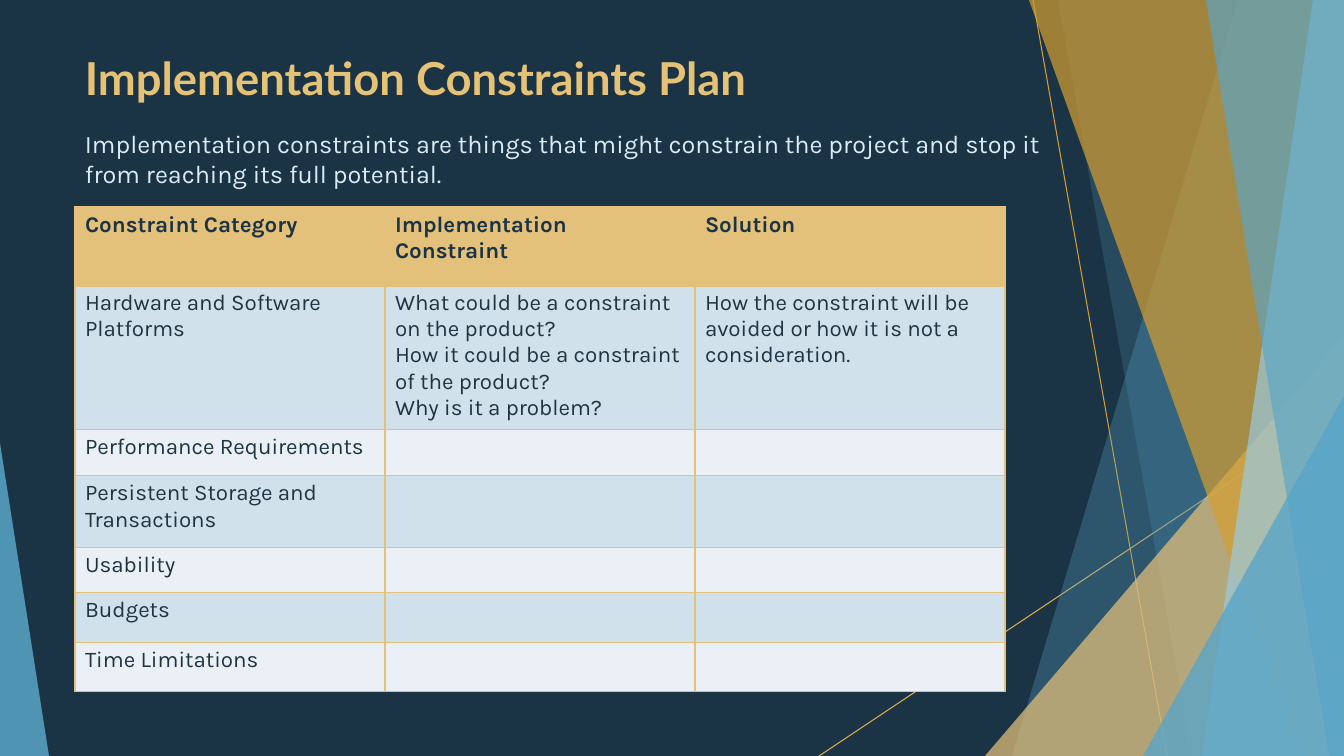
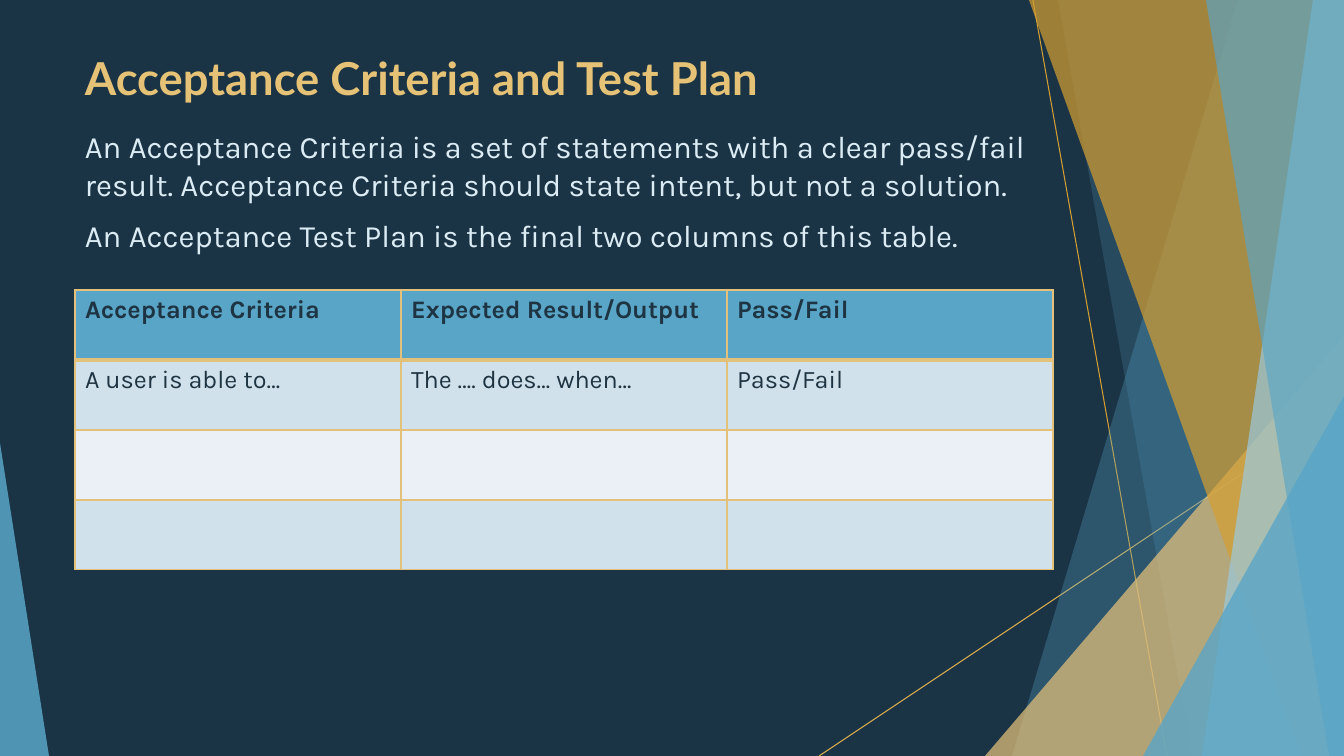
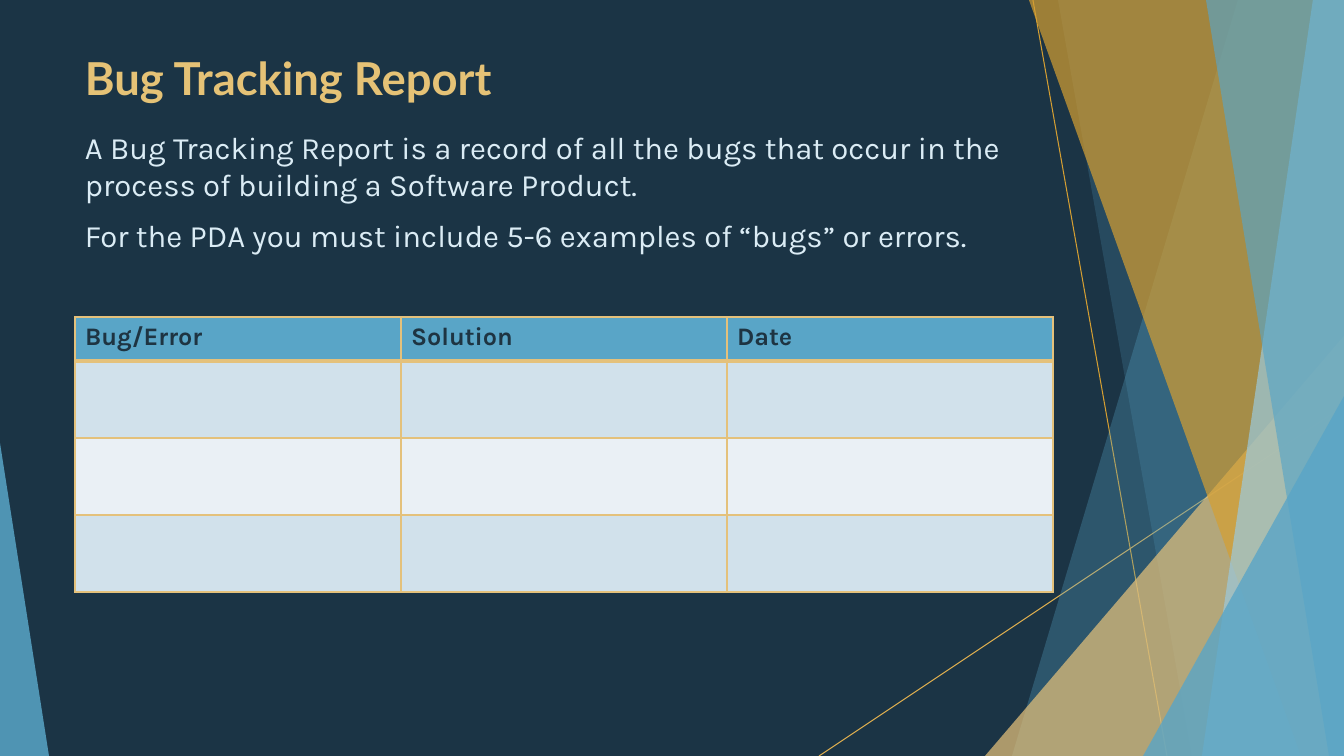
import lxml.etree
import pptx
import pptx.dml.color
import pptx.enum.shapes
import pptx.enum.text
import pptx.oxml.ns
import pptx.util

PX = 914400 / 100.8
PAGE_WIDTH, PAGE_HEIGHT = 1344, 756
LEFT = 75

COLOURS = {
    "navy": "1B3445", "ink": "1E3442", "title": "E5C276", "body": "DBECF5",
    "sand": "E4C17B", "gold": "D59F32", "pale gold": "DBAC4F",
    "blue": "59A5C7", "light blue": "9BC9DD",
    "dark band": "D1E1EB", "light band": "EAF0F5",
}

# from x, from y, to x, to y, colour
RAYS = [(1033, 0, 1167, 756, "gold"), (1344, 406, 819, 756, "pale gold")]

# A beam runs from its top x and bottom x to the right edge of the page.
# A triangle has left, top, width, height and the place of its apex.
# Each ends with its colour and opacity in percent.
BACKDROP = [
    ("beam", (1238, 1012), "blue", 30),
    ("beam", (1058, 1192), "blue", 20),
    ("triangle", (985, 336, 359, 420, 1), "sand", 72),
    ("beam", (1029, 1301), "gold", 70),
    ("beam", (1313, 1202), "light blue", 70),
    ("beam", (1206, 1329), "blue", 65),
    ("triangle", (1143, 396, 201, 360, 1), "blue", 80),
    ("triangle", (0, 443, 49, 313, 0), "blue", 85),
]

SLIDES = [
    {
        "title": "Implementation Constraints Plan",
        "body": ["Implementation constraints are things that might constrain the "
                 "project and stop it from reaching its full potential."],
        "body size": 18, "body height": 74,
        "table": {
            "top": 207, "column": 310, "heights": [78, 144, 46, 72, 45, 50, 49],
            "size": 16, "header fill": "sand", "header ink": "navy",
            "rows": [
                ["Constraint Category", "Implementation Constraint", "Solution"],
                ["Hardware and Software Platforms",
                 "What could be a constraint on the product?\n"
                 "How it could be a constraint of the product?\n"
                 "Why is it a problem?",
                 "How the constraint will be avoided or how it is not a consideration."],
                ["Performance Requirements", "", ""],
                ["Persistent Storage and Transactions", "", ""],
                ["Usability", "", ""],
                ["Budgets", "", ""],
                ["Time Limitations", "", ""],
            ],
        },
    },
    {
        "title": "Acceptance Criteria and Test Plan",
        "body": ["An Acceptance Criteria is a set of statements with a clear pass/fail "
                 "result. Acceptance Criteria should state intent, but not a solution.",
                 "An Acceptance Test Plan is the final two columns of this table."],
        "body size": 22.2, "body height": 167,
        "table": {
            "top": 290, "column": 326, "heights": [70, 70, 70, 70],
            "size": 18, "header fill": "blue", "header ink": "ink",
            "rows": [
                ["Acceptance Criteria", "Expected Result/Output", "Pass/Fail"],
                ["A user is able to…", "The …. does… when…", "Pass/Fail"],
                ["", "", ""],
                ["", "", ""],
            ],
        },
    },
    {
        "title": "Bug Tracking Report",
        "body": ["A Bug Tracking Report is a record of all the bugs that occur in the "
                 "process of building a Software Product.",
                 "For the PDA you must include 5-6 examples of “bugs” or errors."],
        "body size": 22.2, "body height": 159,
        "table": {
            "top": 317, "column": 326, "heights": [44, 77, 77, 77],
            "size": 18, "header fill": "blue", "header ink": "ink",
            "rows": [
                ["Bug/Error", "Solution", "Date"],
                ["", "", ""],
                ["", "", ""],
                ["", "", ""],
            ],
        },
    },
]


def px(length):
    return pptx.util.Emu(round(length * PX))


def rgb(name):
    return pptx.dml.color.RGBColor.from_string(COLOURS[name])


def add_element(parent, tag, **attributes):
    return lxml.etree.SubElement(parent, pptx.oxml.ns.qn(tag), attributes)


def paint(fill, colour):
    fill.solid()
    fill.fore_color.rgb = rgb(colour)


def write(frame, lines, font, size, colour, bold=False, space_before=0):
    for index, line in enumerate(lines):
        para = frame.paragraphs[0] if index == 0 else frame.add_paragraph()
        para.space_before = pptx.util.Pt(space_before)
        span = para.add_run()
        span.text = line
        span.font.name = font
        span.font.size = pptx.util.Pt(size)
        span.font.bold = bold
        span.font.color.rgb = rgb(colour)


def add_text(page, top, width, height, lines, anchor, **style):
    box = page.shapes.add_textbox(px(LEFT), px(top), px(width), px(height))
    box.text_frame.word_wrap = True
    box.text_frame.vertical_anchor = anchor
    write(box.text_frame, lines, **style)


def add_beam(page, top_x, bottom_x):
    builder = page.shapes.build_freeform(top_x, 0, scale=PX)
    builder.add_line_segments(
        [(PAGE_WIDTH, 0), (PAGE_WIDTH, PAGE_HEIGHT), (bottom_x, PAGE_HEIGHT)])
    return builder.convert_to_shape()


def add_triangle(page, left, top, width, height, apex):
    triangle = page.shapes.add_shape(
        pptx.enum.shapes.MSO_SHAPE.ISOSCELES_TRIANGLE,
        px(left), px(top), px(width), px(height))
    triangle.adjustments[0] = apex
    return triangle


def add_backdrop(page):
    paint(page.background.fill, "navy")
    for *ends, colour in RAYS:
        ray = page.shapes.add_connector(
            pptx.enum.shapes.MSO_CONNECTOR.STRAIGHT, *map(px, ends))
        ray.line.color.rgb = rgb(colour)
        ray.line.width = pptx.util.Pt(0.75)
        add_element(ray._element.spPr, "a:effectLst")
    makers = {"beam": add_beam, "triangle": add_triangle}
    for kind, geometry, colour, opacity in BACKDROP:
        shape = makers[kind](page, *geometry)
        shape.shadow.inherit = False
        shape.line.fill.background()
        paint(shape.fill, colour)
        tint = shape._element.spPr.find(".//" + pptx.oxml.ns.qn("a:srgbClr"))
        add_element(tint, "a:alpha", val=str(opacity * 1000))


def add_borders(cell, widths):
    """Draw the left, right, top and bottom borders, with widths in points."""
    properties = cell._tc.get_or_add_tcPr()
    for side, width in zip("LRTB", widths):
        border = add_element(properties, "a:ln" + side, w=str(pptx.util.Pt(width)))
        fill = add_element(border, "a:solidFill")
        add_element(fill, "a:srgbClr", val=COLOURS["sand"])


def add_grid(page, top, column, heights, size, header_fill, header_ink, rows):
    count = len(rows[0])
    table = page.shapes.add_table(
        len(rows), count, px(LEFT), px(top),
        px(column * count), px(sum(heights))).table
    table.first_row = table.horz_banding = False
    for table_column in table.columns:
        table_column.width = px(column)
    for index, (texts, height) in enumerate(zip(rows, heights)):
        table.rows[index].height = px(height)
        header = index == 0
        band = header_fill if header else ("light band", "dark band")[index % 2]
        for position, text in enumerate(texts):
            cell = table.cell(index, position)
            add_borders(cell, (1, 1, 3 if index == 1 else 1, 3 if header else 1))
            paint(cell.fill, band)
            if text:
                write(cell.text_frame, text.split("\n"), "Karla", size,
                      header_ink if header else "ink", bold=header)


def main():
    deck = pptx.Presentation()
    deck.slide_width, deck.slide_height = px(PAGE_WIDTH), px(PAGE_HEIGHT)
    anchors = pptx.enum.text.MSO_ANCHOR
    for content in SLIDES:
        page = deck.slides.add_slide(deck.slide_layouts[6])
        add_backdrop(page)
        add_text(page, 42, 948, 70, [content["title"]], anchors.MIDDLE,
                 font="Lato", size=32.4, colour="title", bold=True)
        add_text(page, 123, 977, content["body height"], content["body"], anchors.TOP,
                 font="Karla", size=content["body size"], colour="body",
                 space_before=10)
        grid = content["table"]
        add_grid(page, grid["top"], grid["column"], grid["heights"], grid["size"],
                 grid["header fill"], grid["header ink"], grid["rows"])
    deck.save("out.pptx")


if __name__ == "__main__":
    main()
